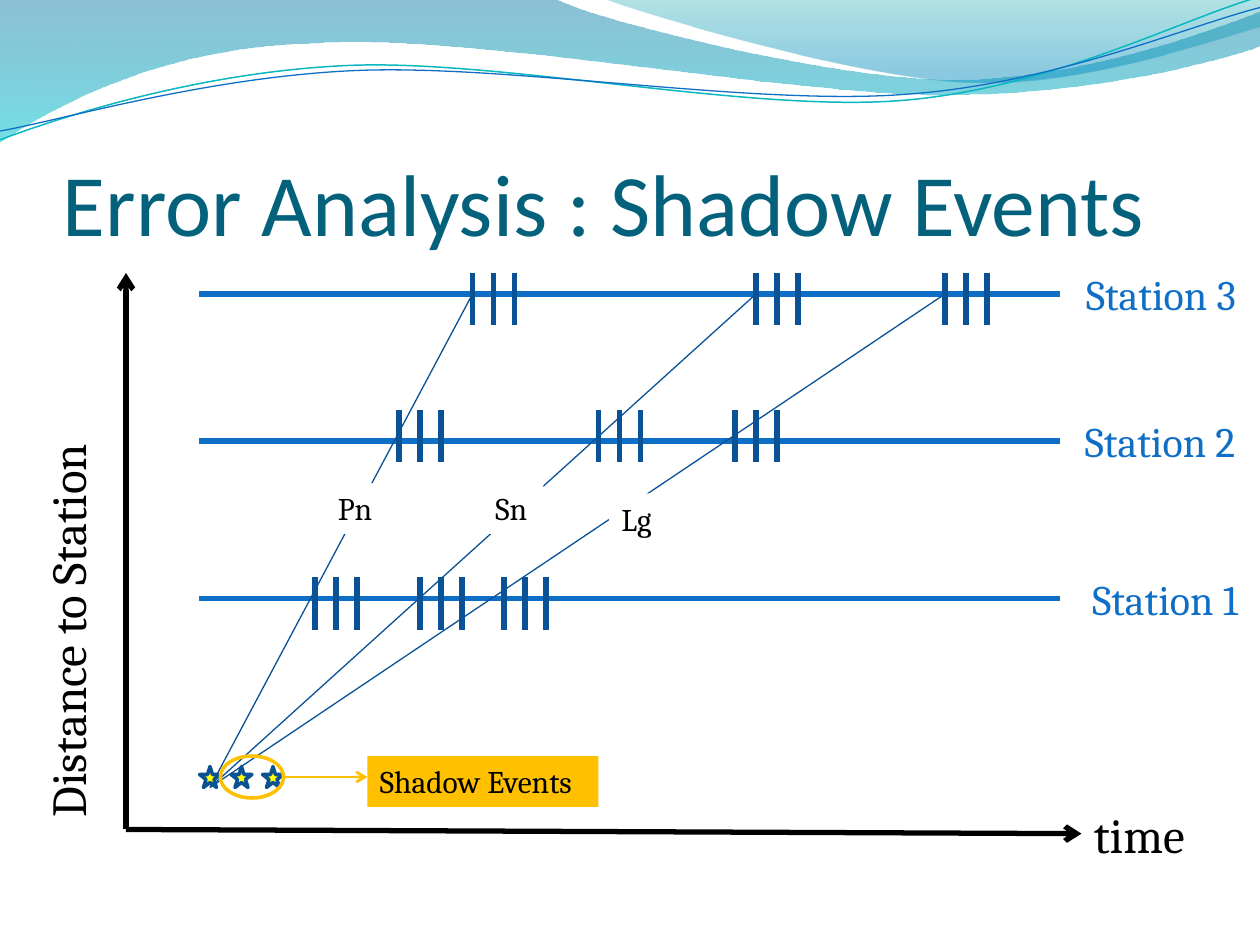
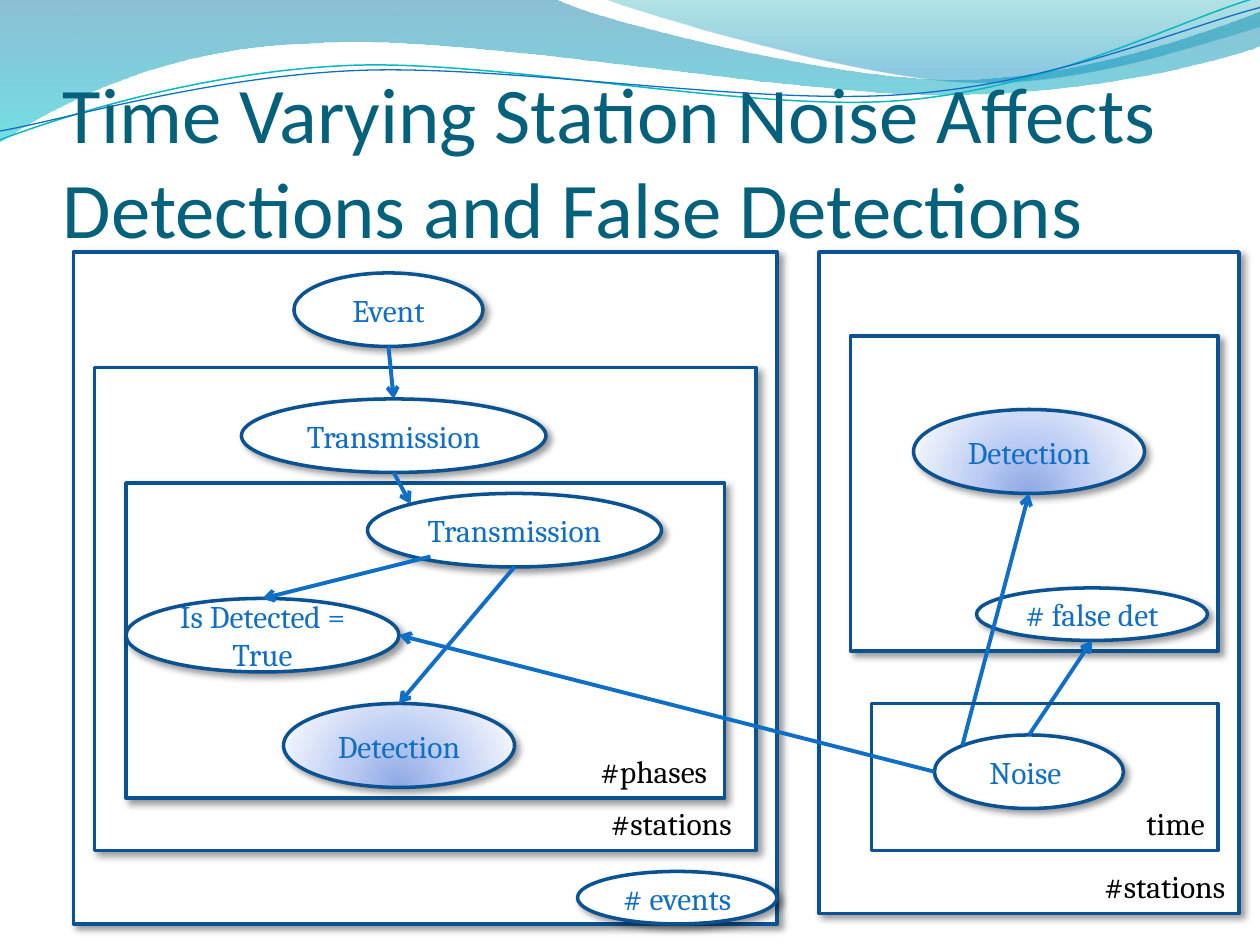
"""Build two slides on seismic shadow events and station noise."""
import pptx
import pptx.dml.color
import pptx.enum.shapes
import pptx.enum.text
import pptx.oxml.ns
import pptx.util
from lxml import etree

Pt = pptx.util.Pt
Cm = pptx.util.Cm
qn = pptx.oxml.ns.qn
SHAPE = pptx.enum.shapes.MSO_SHAPE
ALIGN = pptx.enum.text.PP_ALIGN
ANCHOR = pptx.enum.text.MSO_ANCHOR

GRID = 2.54 / 12
BLACK, WHITE, TITLE = "000000", "FFFFFF", "04617B"
BLUE, NAVY, TICK = "0F6FC6", "0B5292", "095295"
GOLD, YELLOW, TEAL = "FFC000", "FFFF00", "0AB8BF"
NODE_SHADOW = (BLACK, 40, 4, 3, 45)
OBSERVED = [(0, "8DA8E3", 100), (43, "BBCBF3", 100),
            (93, "EAEFFB", 100), (100, "F7F9FF", 100)]

UPPER_WAVE = [[(4.4, -0.01)], [(4.76, 0.17), (6.64, 0.63), (7.58, 0.63)],
              [(8.53, 0.63), (9.58, 0.26), (10, 0.09)], [(10.01, 0.36)],
              [(9.83, 0.44), (8.7, 0.76), (7.46, 0.75)],
              [(6.22, 0.75), (3.82, 0.28), (2.57, 0.34)],
              [(1.29, 0.36), (0.46, 0.83), (-0.01, 1.13)], [(0, 0)]]
RIGHT_WAVE = [[(5.09, 0.11), (6.82, 0.62), (7.69, 0.65)],
              [(8.56, 0.69), (9.61, 0.32), (10, 0.21)], [(10, 0)], [(4.79, -0.01)]]
TEAL_CURVE = [[(0.48, 0.93), (1.58, 0.57), (2.77, 0.52)],
              [(3.95, 0.47), (5.93, 0.89), (7.13, 0.8)],
              [(8.33, 0.71), (9.38, 0.15), (9.98, -0.02)]]
BLUE_CURVE = [[(0.47, 0.96), (1.64, 0.61), (2.83, 0.56)],
              [(4.03, 0.51), (5.97, 0.84), (7.17, 0.75)],
              [(8.36, 0.67), (9.41, 0.21), (10, 0.06)]]


def rgb(value):
    """Turn a hex string into a colour."""
    return pptx.dml.color.RGBColor.from_string(value)


def u(n):
    """Turn grid steps into a length."""
    return Cm(n * GRID)


def add_colour(parent, colour, opacity):
    """Append a colour with opacity to an XML element."""
    clr = etree.SubElement(parent, qn("a:srgbClr"), val=colour)
    if opacity < 100:
        etree.SubElement(clr, qn("a:alpha"), val=str(opacity * 1000))


def cast_shadow(sp, shadow):
    """Give a shape an outer shadow, or none at all."""
    spPr = sp._element.spPr
    for old in spPr.findall(qn("a:effectLst")):
        spPr.remove(old)
    effects = etree.SubElement(spPr, qn("a:effectLst"))
    if shadow:
        colour, opacity, blur, dist, angle = shadow
        outer = etree.SubElement(effects, qn("a:outerShdw"), blurRad=str(Pt(blur)),
                                 dist=str(Pt(dist)), dir=str(angle * 60000),
                                 algn="ctr", rotWithShape="0")
        add_colour(outer, colour, opacity)


def fill_gradient(sp, stops, radial=False):
    """Fill a shape with a downward or radial gradient."""
    sp.fill.background()
    spPr = sp._element.spPr
    grad = etree.Element(qn("a:gradFill"), rotWithShape="1")
    spPr.replace(spPr.find(qn("a:noFill")), grad)
    gsLst = etree.SubElement(grad, qn("a:gsLst"))
    for pos, colour, opacity in stops:
        add_colour(etree.SubElement(gsLst, qn("a:gs"), pos=str(pos * 1000)), colour, opacity)
    if radial:
        path = etree.SubElement(grad, qn("a:path"), path="circle")
        etree.SubElement(path, qn("a:fillToRect"), l="50000", t="130000", r="50000", b="-30000")
    else:
        etree.SubElement(grad, qn("a:lin"), ang="5400000", scaled="1")


def paint(sp, fill=None, line=None, weight=2, shadow=None):
    """Set fill, outline and shadow of a shape."""
    if isinstance(fill, list):
        fill_gradient(sp, fill, radial=True)
    elif fill:
        sp.fill.solid()
        sp.fill.fore_color.rgb = rgb(fill)
    else:
        sp.fill.background()
    if line:
        sp.line.color.rgb = rgb(line)
        sp.line.width = Pt(weight)
    else:
        sp.line.fill.background()
    cast_shadow(sp, shadow)


def add_box(s, kind, x, y, w, h, **style):
    """Add a preset shape on the grid."""
    sp = s.shapes.add_shape(kind, u(x), u(y), u(w), u(h))
    paint(sp, **style)
    return sp


def write(sp, text, size, colour, font="Cambria", align=ALIGN.LEFT,
          anchor=ANCHOR.TOP, wrap=False):
    """Write one run of text into a shape."""
    tf = sp.text_frame
    tf.word_wrap = wrap
    tf.vertical_anchor = anchor
    p = tf.paragraphs[0]
    p.alignment = align
    r = p.add_run()
    r.text = text
    r.font.size = Pt(size)
    r.font.name = font
    r.font.color.rgb = rgb(colour)


def add_label(s, text, x, y, w, h=4.8, size=18, colour=BLACK):
    """Add a free-standing label."""
    sp = s.shapes.add_textbox(u(x), u(y), u(w), u(h))
    write(sp, text, size, colour)
    return sp


def add_line(s, start, end, colour, weight, arrow=False):
    """Add a straight line between two grid points."""
    cn = s.shapes.add_connector(pptx.enum.shapes.MSO_CONNECTOR.STRAIGHT,
                                *map(u, start), *map(u, end))
    cn.line.color.rgb = rgb(colour)
    cn.line.width = Pt(weight)
    if arrow:
        etree.SubElement(cn.line._get_or_add_ln(), qn("a:tailEnd"), type="arrow")
    cast_shadow(cn, None)


def add_curve(s, start, segments, closed=False):
    """Draw lines and cubic curves given in twelve-step units."""
    points = [(u(12 * x), u(12 * y)) for x, y in [start, *sum(segments, [])]]
    fb = s.shapes.build_freeform(*points[0])
    fb.add_line_segments(points[1:], close=closed)
    sp = fb.convert_to_shape()
    lines = iter(list(sp._element.iter(qn("a:lnTo"))))
    for seg in segments:
        first, *others = [next(lines) for _ in seg]
        if others:
            bezier = etree.Element(qn("a:cubicBezTo"))
            first.addprevious(bezier)
            for ln in (first, *others):
                bezier.append(ln[0])
                ln.getparent().remove(ln)
    return sp


def wave_band(s):
    """Draw the waves along the top edge."""
    for start, wave, stops in (
            ((0, 0), UPPER_WAVE, [(0, "0074A1", 45), (100, "00C6CF", 55)]),
            ((4.79, -0.01), RIGHT_WAVE, [(0, "00A1A9", 30), (80, "008BBF", 45)])):
        sp = add_curve(s, start, wave, closed=True)
        paint(sp)
        fill_gradient(sp, stops)
    for start, curve, colour, weight in (((0, 1.11), TEAL_CURVE, TEAL, 0.85),
                                         ((0, 1.04), BLUE_CURVE, BLUE, 0.75)):
        paint(add_curve(s, start, curve), line=colour, weight=weight)


def new_slide(prs, title, size):
    """Add a slide with waves and a title."""
    s = prs.slides.add_slide(prs.slide_layouts[6])
    wave_band(s)
    sp = s.shapes.add_textbox(u(6), u(9.2), u(108), u(15))
    tf = sp.text_frame
    tf.margin_left = tf.margin_right = tf.margin_bottom = 0
    tf.margin_top = Cm(0.13)
    write(sp, title, size, TITLE, "Calibri", anchor=ANCHOR.BOTTOM, wrap=True)
    return s


def axes(s, x, y):
    """Draw the time and distance axes from their corner."""
    add_line(s, (x, y), (x + 91, y + 0.4), BLACK, 3, True)
    add_line(s, (x, y), (x, y - 53), BLACK, 3, True)
    add_label(s, "time", x + 91, y - 3, 11.8, 6.8, 28)
    add_label(s, "Distance to Station", x - 26.15, y - 23.9, 41, 6.8, 28).rotation = 270


def station(s, x, y, name, label_x, tick_rise, arrivals):
    """Draw a station trace with three ticks per arrival."""
    add_line(s, (x, y), (x + 82, y), BLUE, 3)
    add_label(s, name, x + label_x, y - 3, 101 - label_x, 6, 24, BLUE)
    for arrival in arrivals:
        for tick in range(3):
            tick_x, top = x + arrival + 2 * tick, y - tick_rise
            add_line(s, (tick_x, top), (tick_x, top + 5), TICK, 3)


def phase_rays(s, x, y):
    """Draw the phase rays from the event and name them."""
    for reach in (25, 52, 70):
        add_line(s, (x, y), (x + reach, y - 47), TICK, 0.75)
    for name, dx, dy, w in (("Pn", 11, -29, 6), ("Sn", 26, -29, 5.75), ("Lg", 38, -28, 5.6)):
        write(add_box(s, SHAPE.RECTANGLE, x + dx, y + dy, w, 4.85, fill=WHITE), name, 18, BLACK)


def shadow_events(s, x, y):
    """Draw the event stars and the callout for the shadow events."""
    for i in range(3):
        add_box(s, SHAPE.STAR_5_POINT, x + 3 * i, y + 1, 2, 2, fill=YELLOW, line=NAVY)
    add_box(s, SHAPE.OVAL, x + 2, y, 6, 4, line=GOLD)
    add_line(s, (x + 8, y + 2), (x + 16, y + 2), GOLD, 1.5, arrow=True)
    callout = add_box(s, SHAPE.RECTANGLE, x + 16, y, 22, 4.85, fill=GOLD)
    write(callout, "Shadow Events", 18, BLACK)


def shadow_slide(prs):
    """Build the slide on shadow events."""
    s = new_slide(prs, "Error Analysis : Shadow Events", 50)
    axes(s, 12, 79)
    for y, name, label_x, rise, arrivals in (
            (57, "Station 1", 83.85, 2, (11, 21, 29)),
            (42, "Station 2", 83.15, 3, (19, 38, 51)),
            (28, "Station 3", 83.25, 2, (26, 53, 71))):
        station(s, 19, y, name, label_x, rise, arrivals)
    phase_rays(s, 20, 75)
    shadow_events(s, 19, 72)


def graph(s, x, y, plates, nodes, labels, arrows):
    """Draw plates, nodes, labels and arrows from a corner."""
    for dx, dy, w, h in plates:
        add_box(s, SHAPE.RECTANGLE, x + dx, y + dy, w, h, fill=WHITE, line=NAVY,
                shadow=NODE_SHADOW)
    for text, dx, dy, w, h in nodes:
        sp = add_box(s, SHAPE.OVAL, x + dx, y + dy, w, h, line=NAVY, shadow=NODE_SHADOW,
                     fill=OBSERVED if text == "Detection" else WHITE)
        write(sp, text, 18, BLUE, align=ALIGN.CENTER, anchor=ANCHOR.MIDDLE, wrap=True)
    for text, dx, dy, w in labels:
        add_label(s, text, x + dx, y + dy, w)
    for x1, y1, x2, y2 in arrows:
        add_line(s, (x + x1, y + y1), (x + x2, y + y2), BLUE, 2.25, arrow=True)


def event_model(s, x, y):
    """Draw the model of events, stations and phases."""
    graph(s, x, y,
          [(0, 0, 67, 64), (2, 11, 63, 46), (5, 22, 57, 30)],
          [("Event", 21, 2, 18, 7), ("Transmission", 16, 14, 29, 7),
           ("Transmission", 28, 23, 28, 7), ("Is Detected = True", 5, 33, 26, 7),
           ("Detection", 20, 43, 22, 8), ("# events", 48, 59, 19, 5)],
          [("#phases", 49, 47, 12.8), ("#stations", 50, 52, 14.4)],
          [(30, 9, 30.5, 14), (30.5, 21, 32.1, 24), (34, 29, 18, 33), (42, 30, 31, 43)])


def noise_model(s, x, y):
    """Draw the model of station noise over time."""
    graph(s, x, y,
          [(0, 0, 40, 63), (3, 8, 35, 30)],
          [("Detection", 9, 15, 22, 8), ("# false det", 15, 32, 22, 5),
           ("Noise ", 11, 46, 18, 7)],
          [("time", 30, 52, 8.4), ("#stations", 26, 58, 14.4)],
          [(13.65, 47, 20, 23), (20, 46, 26, 37)])
    add_box(s, SHAPE.RECTANGLE, x + 5, y + 43, 33, 14, line=NAVY)


def noise_slide(prs):
    """Build the slide on time-varying station noise."""
    s = new_slide(prs, "Time Varying Station Noise Affects Detections and False Detections", 45)
    event_model(s, 7, 24)
    noise_model(s, 78, 24)
    add_line(s, (89, 73.5), (38, 60.5), BLUE, 2.25, arrow=True)


def main():
    """Build and save the presentation."""
    prs = pptx.Presentation()
    prs.slide_width, prs.slide_height = Cm(25.4), Cm(19.05)
    shadow_slide(prs)
    noise_slide(prs)
    prs.save("out.pptx")


if __name__ == "__main__":
    main()
